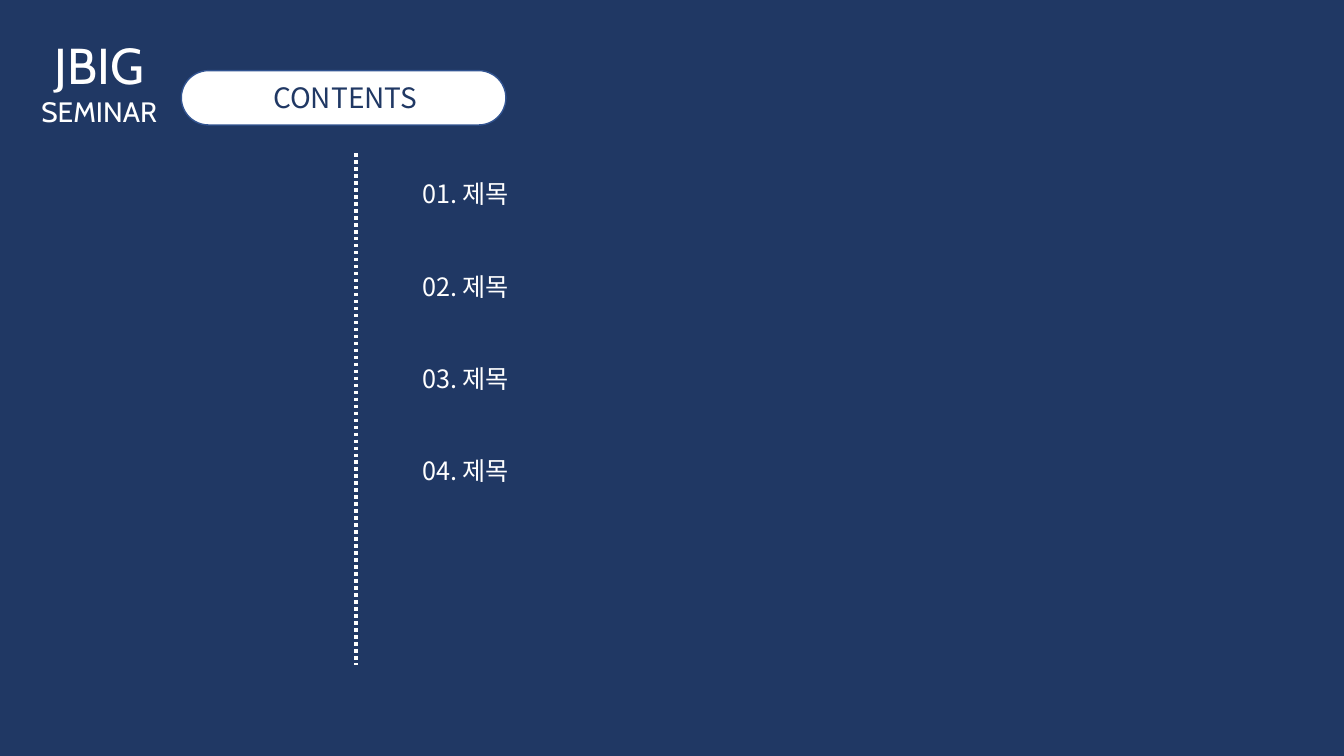
from lxml import etree
from pptx import Presentation
from pptx.dml.color import RGBColor
from pptx.enum.dml import MSO_LINE
from pptx.enum.shapes import MSO_CONNECTOR, MSO_SHAPE
from pptx.enum.text import MSO_AUTO_SIZE, PP_ALIGN
from pptx.oxml.ns import qn
from pptx.util import Cm, Pt

LOGOTYPE = "JBIG"
SUBTITLE = "SEMINAR"
HEADING = "CONTENTS"
TOPICS = ["제목", "제목", "제목", "제목"]

NAVY = RGBColor(0x20, 0x38, 0x64)
BLUE = RGBColor(0x32, 0x54, 0x91)
WHITE = RGBColor(0xFF, 0xFF, 0xFF)
LATIN_FONT = "Cabin"
KOREAN_FONT = "Noto Sans CJK KR"

LABEL_WIDTH = 4.14
BRAND_LEFT = 0.43
TOPIC_LEFT, TOPIC_TOP, TOPIC_STEP = 10.39, 4.38, 2.32
DIVIDER_X, DIVIDER_TOP, DIVIDER_BOTTOM = 8.97, 3.86, 16.76


def add_text(slide, text, left, top, width, height, *, size,
             font=KOREAN_FONT, color=WHITE, align=PP_ALIGN.LEFT):
    box = slide.shapes.add_textbox(Cm(left), Cm(top), Cm(width), Cm(height))
    frame = box.text_frame
    frame.word_wrap = True
    frame.auto_size = MSO_AUTO_SIZE.SHAPE_TO_FIT_TEXT
    paragraph = frame.paragraphs[0]
    paragraph.alignment = align
    run = paragraph.add_run()
    run.text = text
    run.font.size = Pt(size)
    run.font.color.rgb = color
    run.font.name = font
    east_asian = etree.SubElement(run.font._element, qn("a:ea"))
    east_asian.set("typeface", font)


def add_divider(slide):
    line = slide.shapes.add_connector(
        MSO_CONNECTOR.STRAIGHT, Cm(DIVIDER_X), Cm(DIVIDER_TOP),
        Cm(DIVIDER_X), Cm(DIVIDER_BOTTOM))
    line.line.color.rgb = WHITE
    line.line.width = Pt(2.5)
    line.line.dash_style = MSO_LINE.ROUND_DOT  # stored as sysDot
    etree.SubElement(line._element.spPr, qn("a:effectLst"))


def add_heading_pill(slide):
    pill = slide.shapes.add_shape(
        MSO_SHAPE.ROUNDED_RECTANGLE, Cm(4.57), Cm(1.78), Cm(8.18), Cm(1.37))
    pill.adjustments[0] = 0.5
    pill.shadow.inherit = False
    pill.fill.solid()
    pill.fill.fore_color.rgb = WHITE
    pill.line.color.rgb = BLUE
    pill.line.width = Pt(1)


def main():
    presentation = Presentation()
    presentation.slide_width, presentation.slide_height = Cm(33.87), Cm(19.05)
    slide = presentation.slides.add_slide(presentation.slide_layouts[6])
    slide.background.fill.solid()
    slide.background.fill.fore_color.rgb = NAVY

    add_divider(slide)
    add_heading_pill(slide)
    add_text(slide, LOGOTYPE, BRAND_LEFT, 0.74, LABEL_WIDTH, 1.8,
             size=36, font=LATIN_FONT, align=PP_ALIGN.CENTER)
    add_text(slide, SUBTITLE, BRAND_LEFT, 2.26, LABEL_WIDTH, 1.11,
             size=20, font=LATIN_FONT, align=PP_ALIGN.CENTER)
    add_text(slide, HEADING, 6.63, 1.9, LABEL_WIDTH, 1.11,
             size=20, color=NAVY, align=PP_ALIGN.CENTER)
    for index, topic in enumerate(TOPICS):
        add_text(slide, f"{index + 1:02d}. {topic}", TOPIC_LEFT,
                 TOPIC_TOP + index * TOPIC_STEP, 10.26, 1.03, size=18)

    presentation.save("out.pptx")


if __name__ == "__main__":
    main()
